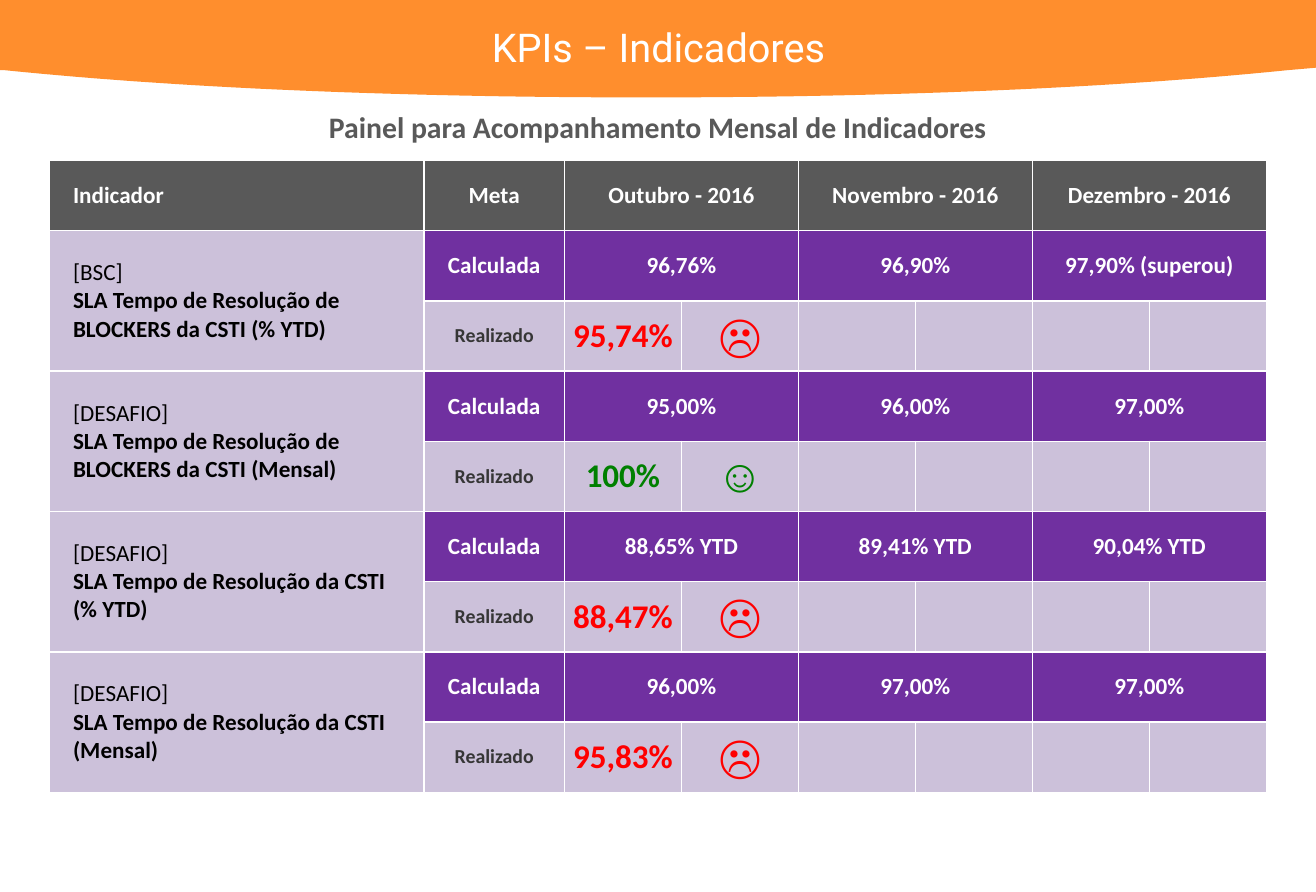
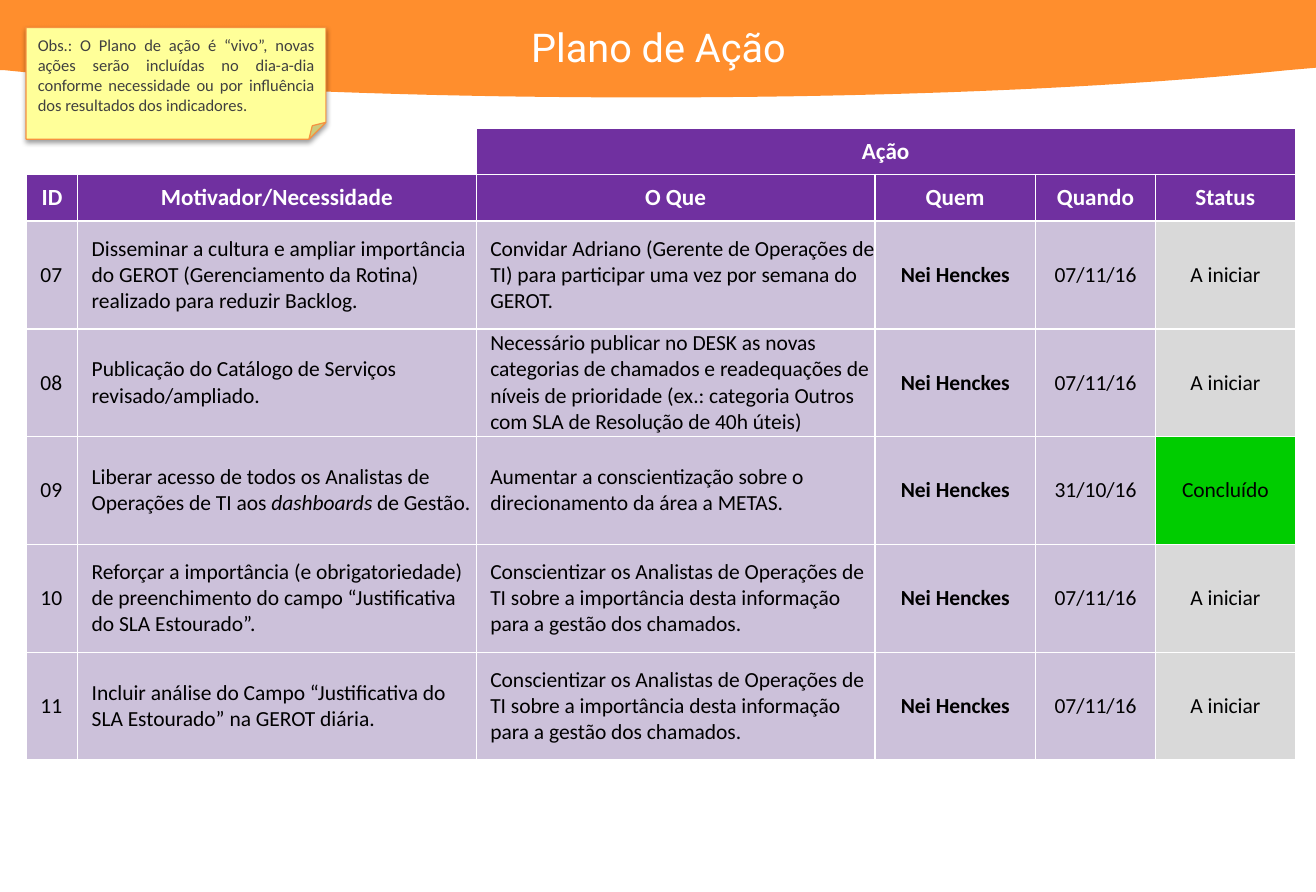
from lxml import etree
from pptx import Presentation
from pptx import util as u
from pptx.dml import color as dml
from pptx.enum import shapes, text
from pptx.oxml import ns

Pt = u.Pt
CENTER = text.PP_ALIGN.CENTER
LEFT = text.PP_ALIGN.LEFT
WIDTH, HEIGHT = 796.32, 540

COLORS = {
    "orange": "FF8E2D", "white": "FFFFFF", "black": "000000",
    "gray": "595959", "text": "404040", "label": "363636",
    "purple": "7030A0", "lilac": "CCC1DA", "pending": "D9D9D9",
    "done": "00CC00", "red": "FF0000", "green": "008000",
    "note": "FFFF99", "note_line": "F69240",
}


def rgb(name):
    return dml.RGBColor.from_string(COLORS[name])


def sub(parent, tag, **attrs):
    """Add a drawing element and its solid colour, if one is named."""
    name = attrs.pop("color", None)
    el = etree.SubElement(parent, ns.qn(tag), attrs)
    if name:
        holder = sub(el, "a:solidFill") if tag.startswith("a:ln") else el
        return sub(holder, "a:srgbClr", val=COLORS[name])
    return el


def bezier(p0, p1, p2, p3, steps=30):
    """Points along a cubic curve, without its start."""
    for i in range(1, steps + 1):
        t = i / steps
        k = ((1 - t) ** 3, 3 * t * (1 - t) ** 2, 3 * t * t * (1 - t), t ** 3)
        yield tuple(sum(w * p[axis] for w, p in zip(k, (p0, p1, p2, p3)))
                    for axis in (0, 1))


class Deck:
    """Style of the deck and the slide being built."""

    def __init__(self):
        self.prs = Presentation()
        self.prs.slide_width, self.prs.slide_height = Pt(WIDTH), Pt(HEIGHT)
        self.slide = None

    def new_slide(self, title):
        self.slide = self.prs.slides.add_slide(self.prs.slide_layouts[6])
        self.band()
        self.textbox(183.6, 10.1, 429.8, 36, title, size=24, color="white",
                     font="Roboto")

    def band(self):
        right, middle, left = (779, 42.5), (391, 59), (2.9, 42.5)
        points = [(WIDTH, 0), (WIDTH, 41), right]
        points += bezier(right, (673.9, 53.3), (538.6, 59), middle)
        points += bezier(middle, (243.4, 59), (108, 53.3), left)
        points.append((0, 42.5))
        fb = self.slide.shapes.build_freeform(0, 0)
        fb.add_line_segments([(Pt(x), Pt(y)) for x, y in points], close=True)
        s = fb.convert_to_shape()
        s.shadow.inherit = False
        s.fill.solid()
        s.fill.fore_color.rgb = rgb("orange")
        s.line.fill.background()

    def run(self, p, content, size=14, color="black", bold=False,
            italic=False, font="Calibri"):
        r = p.add_run()
        r.text = content
        r.font.size, r.font.name = Pt(size), font
        r.font.bold, r.font.italic = bold, italic
        r.font.color.rgb = rgb(color)

    def textbox(self, x, y, w, h, content, wrap=True, **style):
        s = self.slide.shapes.add_textbox(Pt(x), Pt(y), Pt(w), Pt(h))
        tf = s.text_frame
        tf.word_wrap = wrap
        tf.auto_size = text.MSO_AUTO_SIZE.SHAPE_TO_FIT_TEXT
        p = tf.paragraphs[0]
        p.alignment = CENTER
        self.run(p, content, **style)

    def note(self, x, y, w, h, content):
        s = self.slide.shapes.add_shape(shapes.MSO_SHAPE.FOLDED_CORNER,
                                        Pt(x), Pt(y), Pt(w), Pt(h))
        guides = s._element.spPr.find(".//" + ns.qn("a:avLst"))
        sub(guides, "a:gd", name="adj", fmla="val 15100")
        s.fill.solid()
        s.fill.fore_color.rgb = rgb("note")
        s.line.color.rgb = rgb("note_line")
        s.line.width = Pt(0.75)
        s.shadow.inherit = False
        effects = s._element.spPr.find(ns.qn("a:effectLst"))
        shade = sub(effects, "a:outerShdw", color="black",
                    blurRad=str(Pt(3.1)), dist=str(Pt(1.6)), dir="5400000",
                    rotWithShape="0")
        sub(shade, "a:alpha", val="38000")
        tf = s.text_frame
        tf.word_wrap = True
        tf.vertical_anchor = text.MSO_ANCHOR.MIDDLE
        p = tf.paragraphs[0]
        p.alignment = text.PP_ALIGN.JUSTIFY
        self.run(p, content, size=10, color="text")

    def table(self, x, y, cols, rows):
        frame = self.slide.shapes.add_table(len(rows), len(cols), Pt(x), Pt(y),
                                            Pt(sum(cols)), Pt(sum(rows)))
        tbl = frame.table
        tbl.first_row = tbl.horz_banding = False
        for col, w in zip(tbl.columns, cols):
            col.width = Pt(w)
        for row, h in zip(tbl.rows, rows):
            row.height = Pt(h)
        for cell in tbl.iter_cells():
            cell.margin_left = cell.margin_right = 0
            cell.margin_top = cell.margin_bottom = 0
            cell.vertical_anchor = text.MSO_ANCHOR.MIDDLE
            tcPr = cell._tc.get_or_add_tcPr()
            for side in ("L", "R", "T", "B"):
                sub(tcPr, "a:ln" + side, w=str(Pt(1)), color="white")
            cell.fill.background()
        return tbl

    def cell(self, tbl, row, col, fill, paras=(), indent=None, span=(1, 1),
             **style):
        """Fill a cell; each paragraph is a list of (text, own style) runs."""
        cell = tbl.cell(row, col)
        if span != (1, 1):
            cell.merge(tbl.cell(row + span[0] - 1, col + span[1] - 1))
        cell.fill.solid()
        cell.fill.fore_color.rgb = rgb(fill)
        if isinstance(paras, str):
            paras = [[(paras, {})]]
        tf = cell.text_frame
        for i, runs in enumerate(paras):
            p = tf.add_paragraph() if i else tf.paragraphs[0]
            p.alignment = CENTER if indent is None else LEFT
            if indent is not None:
                pPr = p._p.get_or_add_pPr()
                pPr.set("marL", str(Pt(indent)))
                pPr.set("indent", "0")
            for content, own in runs:
                self.run(p, content, **{**style, **own})


HEAD = {"color": "white", "bold": True}

# Tag, name lines, monthly targets, October result, target reached
INDICATORS = [
    ("[BSC]", ["SLA Tempo de Resolução de BLOCKERS da CSTI (% YTD)"],
     ["96,76%", "96,90%", "97,90% (superou)"], "95,74%", False),
    ("[DESAFIO]", ["SLA Tempo de Resolução de BLOCKERS da CSTI (Mensal)"],
     ["95,00%", "96,00%", "97,00%"], "100%", True),
    ("[DESAFIO]", ["SLA Tempo de Resolução da CSTI", "(% YTD)"],
     ["88,65% YTD", "89,41% YTD", "90,04% YTD"], "88,47%", False),
    ("[DESAFIO]", ["SLA Tempo de Resolução da CSTI", "(Mensal)"],
     ["96,00%", "97,00%", "97,00%"], "95,83%", False),
]

INFORM = ("Conscientizar os Analistas de Operações de TI sobre a importância "
          "desta informação para a gestão dos chamados.")

# Need (as runs), action, date, status
ACTIONS = [
    ([("Disseminar a cultura e ampliar importância do GEROT (Gerenciamento da "
       "Rotina) realizado para reduzir Backlog.", {})],
     "Convidar Adriano (Gerente de Operações de TI) para participar uma vez "
     "por semana do GEROT.", "07/11/16", "A iniciar"),
    ([("Publicação do Catálogo de Serviços revisado/ampliado.", {})],
     "Necessário publicar no DESK as novas categorias de chamados e "
     "readequações de níveis de prioridade (ex.: categoria Outros com SLA de "
     "Resolução de 40h úteis)", "07/11/16", "A iniciar"),
    ([("Liberar acesso de todos os Analistas de Operações de TI aos ", {}),
      ("dashboards", {"italic": True}), (" de Gestão.", {})],
     "Aumentar a conscientização sobre o direcionamento da área a METAS.",
     "31/10/16", "Concluído"),
    ([("Reforçar a importância (e obrigatoriedade) de preenchimento do campo "
       "“Justificativa do SLA Estourado”.", {})],
     INFORM, "07/11/16", "A iniciar"),
    ([("Incluir análise do Campo “Justificativa do SLA Estourado” na GEROT "
       "diária.", {})],
     INFORM, "07/11/16", "A iniciar"),
]


def indicators_slide(deck):
    deck.new_slide("KPIs – Indicadores")
    tbl = deck.table(29.8, 97.2, [226.8, 85] + [70.8] * 6, [42.5] * 9)

    # Header row
    deck.cell(tbl, 0, 0, "gray", "Indicador", indent=14.4, **HEAD)
    deck.cell(tbl, 0, 1, "gray", "Meta", **HEAD)
    for m, month in enumerate(["Outubro", "Novembro", "Dezembro"]):
        deck.cell(tbl, 0, 2 + 2 * m, "gray", month + " - 2016", span=(1, 2),
                  **HEAD)

    # Two rows for each indicator
    for i, (tag, lines, targets, result, reached) in enumerate(INDICATORS):
        row = 1 + 2 * i
        paras = [[(tag, {})]] + [[(t, {"bold": True})] for t in lines]
        deck.cell(tbl, row, 0, "lilac", paras, indent=14.4, span=(2, 1))
        deck.cell(tbl, row, 1, "purple", "Calculada", **HEAD)
        for m, target in enumerate(targets):
            deck.cell(tbl, row, 2 + 2 * m, "purple", target, span=(1, 2),
                      **HEAD)
        color, face = ("green", "☺") if reached else ("red", "☹")
        deck.cell(tbl, row + 1, 1, "lilac", "Realizado", size=12,
                  color="label", bold=True)
        deck.cell(tbl, row + 1, 2, "lilac", result, size=20, color=color,
                  bold=True)
        deck.cell(tbl, row + 1, 3, "lilac", face, size=28, color=color,
                  bold=True, font="Arial")
        for col in range(4, 8):
            deck.cell(tbl, row + 1, col, "lilac")

    deck.textbox(191.5, 62.6, 413.3, 29,
                 "Painel para Acompanhamento Mensal de Indicadores",
                 wrap=False, size=18, color="gray", bold=True)


def plan_slide(deck):
    deck.new_slide("Plano de Ação")
    tbl = deck.table(16, 77.4, [31, 241.2, 241.2, 97.2, 72.6, 84.6],
                     [28.2] * 2 + [65.3] * 5)

    # Header rows
    deck.cell(tbl, 0, 2, "purple", "Ação", span=(1, 4), **HEAD)
    for col, name in enumerate(["ID", "Motivador/Necessidade", "O Que",
                                "Quem", "Quando", "Status"]):
        deck.cell(tbl, 1, col, "purple", name, **HEAD)

    # One row for each action
    for i, (need, action, date, status) in enumerate(ACTIONS):
        row = 2 + i
        left = {"size": 13, "indent": 8.5}
        deck.cell(tbl, row, 0, "lilac", f"{7 + i:02d}", **left)
        deck.cell(tbl, row, 1, "lilac", [need], **left)
        deck.cell(tbl, row, 2, "lilac", action, **left)
        deck.cell(tbl, row, 3, "lilac", "Nei Henckes", size=13, bold=True)
        deck.cell(tbl, row, 4, "lilac", date, size=13)
        deck.cell(tbl, row, 5, "done" if status == "Concluído" else "pending",
                  status, size=13)

    deck.note(15.8, 16.6, 181.4, 67.7,
              "Obs.: O Plano de ação é “vivo”, novas ações serão incluídas no "
              "dia-a-dia conforme necessidade ou por influência dos "
              "resultados dos indicadores.")


def main():
    deck = Deck()
    indicators_slide(deck)
    plan_slide(deck)
    deck.prs.save("out.pptx")


if __name__ == "__main__":
    main()
